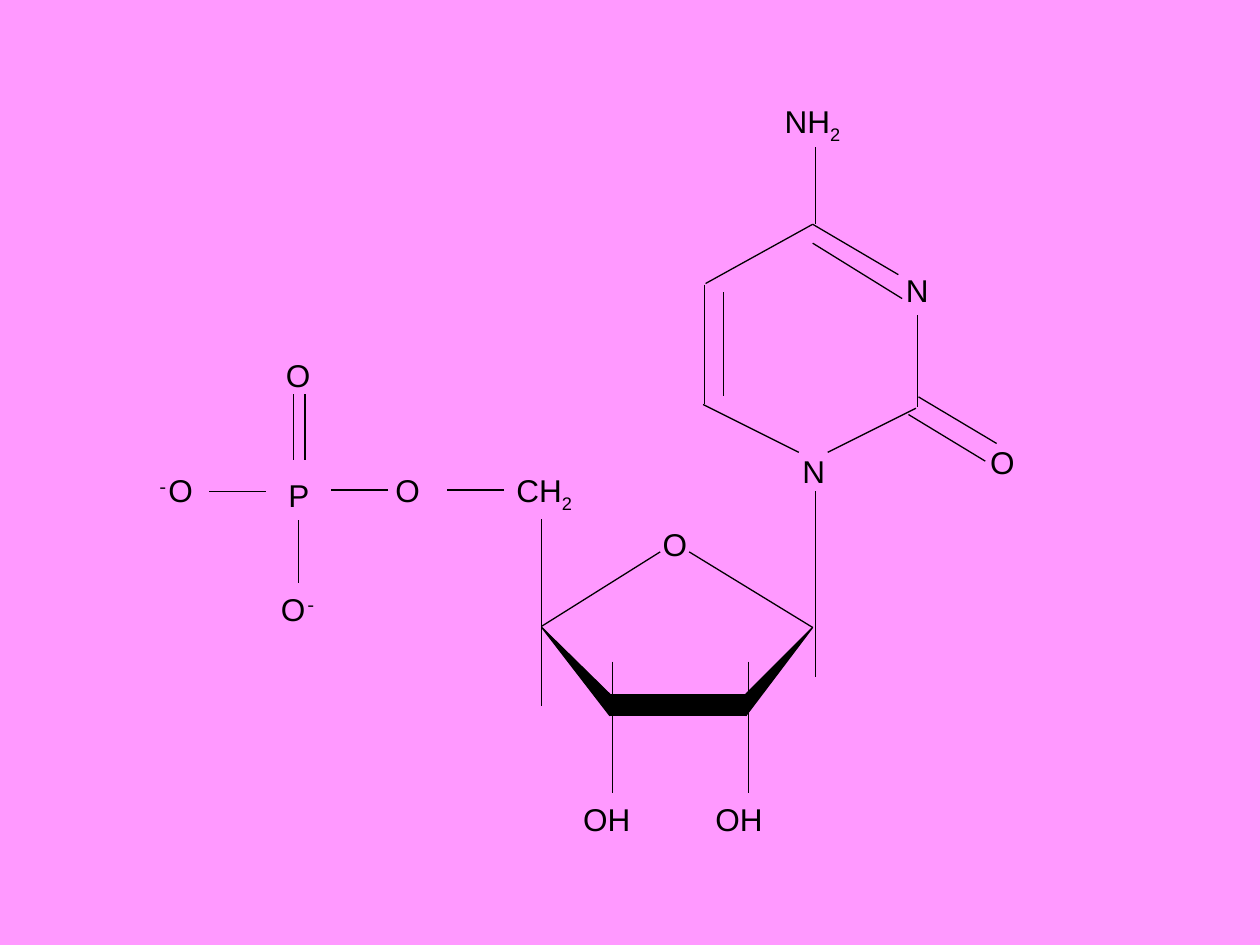
"""Draw the structure of cytidine monophosphate on one slide."""
from typing import NamedTuple, Optional

import pptx
import pptx.dml.color
import pptx.enum.shapes
import pptx.enum.text
import pptx.oxml.ns
import pptx.shapes.autoshape
import pptx.slide
import pptx.util
from lxml import etree

Inches = pptx.util.Inches
Point = tuple[float, float]
INK = "000000"
PINK = "FF99FF"
THIN = 0.75


class Atom(NamedTuple):
    name: str
    left: float
    top: float
    width: float
    text: str
    sub: str = ""
    pre: str = ""
    post: str = ""


class Bond(NamedTuple):
    start: Point
    end: Point
    tail: Optional[tuple[str, int]] = None
    head: Optional[tuple[str, int]] = None


ATOMS = [
    Atom("keto", 7.76, 3.47, 0.39, "O"),
    Atom("amine", 6.13, 0.76, 0.64, "NH", sub="2"),
    Atom("N3", 7.09, 2.1, 0.38, "N"),
    Atom("N1", 6.27, 3.54, 0.38, "N"),
    Atom("C5", 4, 3.69, 0.64, "CH", sub="2"),
    Atom("ester", 3.04, 3.69, 0.39, "O"),
    Atom("P", 2.19, 3.73, 0.36, "P"),
    Atom("left", 1.15, 3.69, 0.48, "O", pre="-"),
    Atom("upper", 2.17, 2.78, 0.39, "O"),
    Atom("lower", 2.13, 4.63, 0.48, "O", post="-"),
    Atom("ring", 5.16, 4.12, 0.39, "O"),
    Atom("OH3", 4.53, 6.3, 0.59, "OH"),
    Atom("OH2", 5.58, 6.3, 0.59, "OH"),
]

BASE = [
    Bond((5.59, 2.26), (5.59, 3.21)),
    Bond((5.58, 3.21), (6.34, 3.59)),
    Bond((6.57, 3.59), (7.27, 3.24)),
    Bond((7.28, 2.5), (7.28, 3.23), tail=("N3", 2)),
    Bond((5.6, 2.25), (6.45, 1.78)),
    Bond((6.45, 1.78), (7.13, 2.18)),
    Bond((5.74, 2.32), (5.74, 3.14)),
    Bond((6.45, 1.93), (7.16, 2.37)),
    Bond((7.29, 3.15), (7.91, 3.52)),
    Bond((7.21, 3.29), (7.82, 3.66)),
    Bond((6.47, 1.17), (6.47, 1.78)),
]
SUGAR = [
    Bond((5.24, 4.38), (4.3, 4.97)),
    Bond((5.47, 4.38), (6.45, 4.98)),
    Bond((6.47, 3.9), (6.47, 5.37)),
    Bond((4.86, 5.25), (4.86, 6.29)),
    Bond((5.94, 5.25), (5.94, 6.29)),
    Bond((4.3, 5.6), (4.3, 4.12)),
]
CHAIN = [
    Bond((4, 3.89), (3.55, 3.89), tail=("C5", 1)),
    Bond((3.08, 3.89), (2.63, 3.89)),
    Bond((2.11, 3.9), (1.66, 3.9)),
    Bond((2.37, 4.13), (2.37, 4.63), tail=("P", 2), head=("lower", 0)),
    Bond((2.33, 3.13), (2.33, 3.65)),
    Bond((2.42, 3.13), (2.42, 3.65)),
]
WEDGES = [
    [(4.3, 4.98), (4.84, 5.68), (4.84, 5.51)],
    [(6.45, 4.98), (5.92, 5.51), (5.92, 5.68)],
]


def color(code: str) -> pptx.dml.color.RGBColor:
    return pptx.dml.color.RGBColor.from_string(code)


def write(para, text: str, *, face: str = "Arial", size: float = 18,
          shift: int = 0, ink: str = INK) -> None:
    run = para.add_run()
    run.text = text
    run.font.name = face
    run.font.size = pptx.util.Pt(size)
    run.font.color.rgb = color(ink)
    if shift:
        run.font._element.set("baseline", str(shift * 1000))


def draw_atom(slide: pptx.slide.Slide, atom: Atom) -> pptx.shapes.autoshape.Shape:
    box = slide.shapes.add_textbox(
        Inches(atom.left), Inches(atom.top), Inches(atom.width), Inches(0.4))
    frame = box.text_frame
    frame.word_wrap = False
    frame.auto_size = pptx.enum.text.MSO_AUTO_SIZE.SHAPE_TO_FIT_TEXT
    para = frame.paragraphs[0]
    if atom.pre:
        write(para, atom.pre, face="Courier New", shift=30)
    write(para, atom.text)
    if atom.sub:
        write(para, atom.sub, shift=-25)
    if atom.post:
        write(para, atom.post, face="Courier New", shift=30)
    return box


def draw_bond(slide: pptx.slide.Slide, bond: Bond, boxes: dict) -> None:
    ends = [Inches(v) for v in bond.start + bond.end]
    line = slide.shapes.add_connector(
        pptx.enum.shapes.MSO_CONNECTOR.STRAIGHT, *ends)
    line.line.color.rgb = color(INK)
    line.line.width = pptx.util.Pt(THIN)
    if bond.tail:
        line.begin_connect(boxes[bond.tail[0]], bond.tail[1])
    if bond.head:
        line.end_connect(boxes[bond.head[0]], bond.head[1])
    etree.SubElement(line._element.spPr, pptx.oxml.ns.qn("a:effectLst"))


def paint(shape: pptx.shapes.autoshape.Shape) -> None:
    shape.shadow.inherit = False
    shape.fill.solid()
    shape.fill.fore_color.rgb = color(INK)
    shape.line.color.rgb = color(INK)
    shape.line.width = pptx.util.Pt(THIN)


def draw_wedge(slide: pptx.slide.Slide, points: list[Point]) -> None:
    spots = [(Inches(x), Inches(y)) for x, y in points]
    path = slide.shapes.build_freeform(*spots[0])
    path.add_line_segments(spots[1:], close=True)
    paint(path.convert_to_shape())


def main() -> None:
    deck = pptx.Presentation()
    deck.slide_width = Inches(10)
    deck.slide_height = Inches(7.5)
    slide = deck.slides.add_slide(deck.slide_layouts[6])
    slide.background.fill.solid()
    slide.background.fill.fore_color.rgb = color(PINK)
    for points in WEDGES:
        draw_wedge(slide, points)
    paint(slide.shapes.add_shape(
        pptx.enum.shapes.MSO_SHAPE.RECTANGLE,
        Inches(4.84), Inches(5.51), Inches(1.08), Inches(0.17)))
    boxes = {atom.name: draw_atom(slide, atom) for atom in ATOMS}
    for bond in BASE + SUGAR + CHAIN:
        draw_bond(slide, bond, boxes)
    deck.save("out.pptx")


if __name__ == "__main__":
    main()
